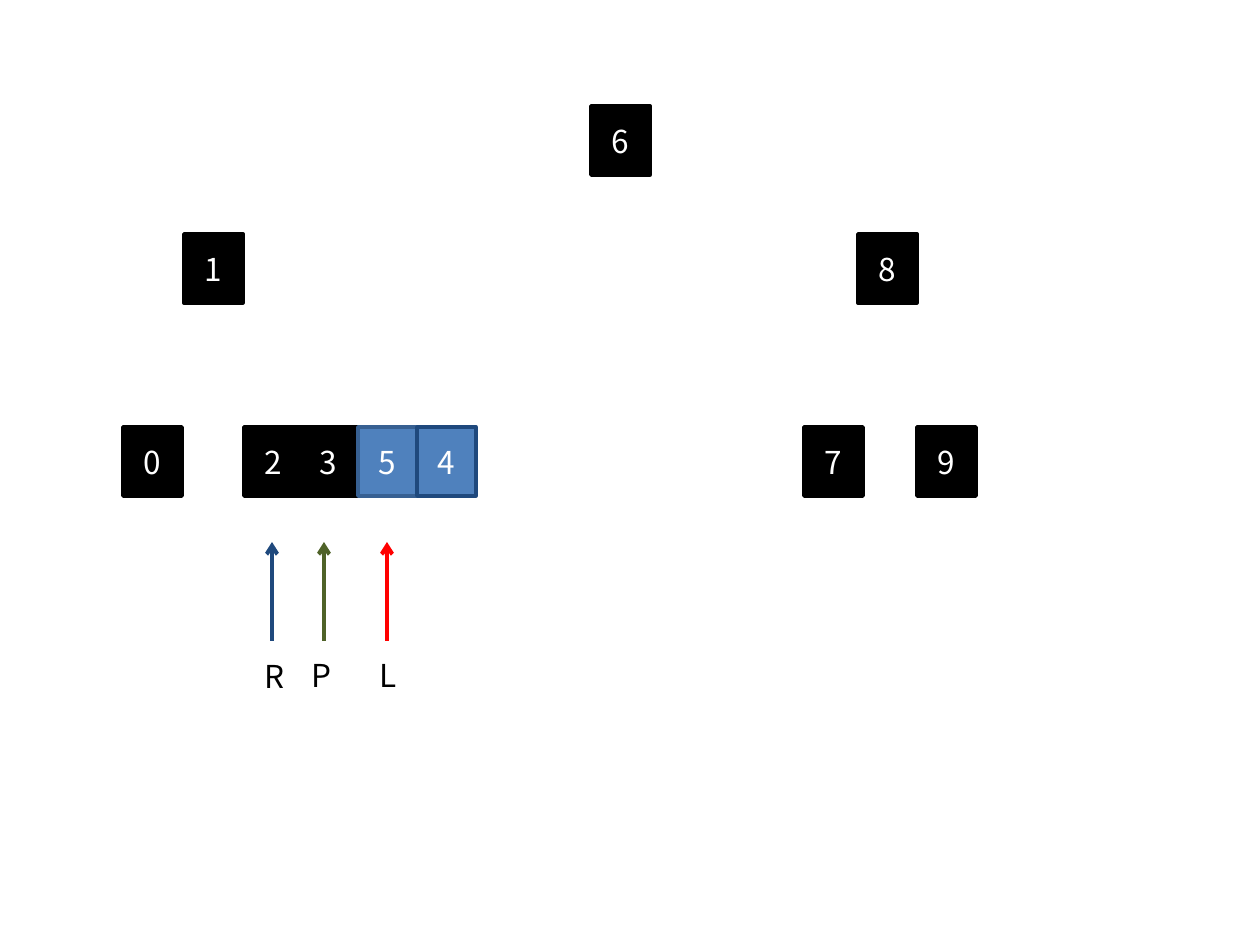
from lxml.etree import SubElement
from pptx import Presentation
from pptx.dml.color import RGBColor
from pptx.enum.shapes import MSO_CONNECTOR, MSO_SHAPE
from pptx.enum.text import MSO_ANCHOR, MSO_AUTO_SIZE, PP_ALIGN
from pptx.oxml.ns import qn
from pptx.util import Emu, Pt

EMU_PER_PIXEL = 914400 / 126
FONT = "Noto Sans CJK KR"
BLACK, WHITE, BLUE = "000000", "FFFFFF", "4F81BD"
NODE_WIDTH, NODE_HEIGHT = 59, 69
ARROW_TOP, ARROW_BOTTOM = 542, 641

# Height of each tree level: (digit, left, fill, line)
TREE_LEVELS = {
    106: [("6", 591, BLACK, BLACK)],
    234: [("1", 184, BLACK, BLACK), ("8", 858, BLACK, BLACK)],
    427: [
        ("0", 123, BLACK, BLACK),
        ("2", 244, BLACK, BLACK),
        ("3", 299, BLACK, BLACK),
        ("5", 358, BLUE, "376092"),
        ("4", 417, BLUE, "1F497D"),
        ("7", 804, BLACK, BLACK),
        ("9", 917, BLACK, BLACK),
    ],
}

# Pointer: label, arrow x, label left, label top, label width, colour
POINTERS = [
    ("R", 272, 252, 651, 45, "1F497D"),
    ("P", 324, 299, 650, 44, "4F6228"),
    ("L", 387, 367, 650, 42, "FF0000"),
]


def px(*lengths):
    return [Emu(round(length * EMU_PER_PIXEL)) for length in lengths]


def colour(value):
    return RGBColor.from_string(value)


def write(frame, text, size=18, color=BLACK, align=PP_ALIGN.LEFT):
    para = frame.paragraphs[0]
    para.alignment = align
    span = para.add_run()
    span.text = text
    span.font.name = FONT
    span.font.size = Pt(size)
    span.font.color.rgb = colour(color)


def add_node(page, digit, left, top, fill, line):
    box = page.shapes.add_shape(
        MSO_SHAPE.RECTANGLE, *px(left, top, NODE_WIDTH, NODE_HEIGHT))
    box.shadow.inherit = False
    box.fill.solid()
    box.fill.fore_color.rgb = colour(fill)
    box.line.color.rgb = colour(line)
    box.line.width = Pt(2)
    box.text_frame.vertical_anchor = MSO_ANCHOR.MIDDLE
    write(box.text_frame, digit, color=WHITE, align=PP_ALIGN.CENTER)


def add_arrow(group, x, color):
    arrow = group.shapes.add_connector(
        MSO_CONNECTOR.STRAIGHT, *px(x, ARROW_BOTTOM, x, ARROW_TOP))
    arrow.line.color.rgb = colour(color)
    arrow.line.width = Pt(2.25)
    SubElement(arrow.line._get_or_add_ln(), qn("a:tailEnd"), type="arrow")
    SubElement(arrow._element.spPr, qn("a:effectLst"))


def add_label(group, text, left, top, width):
    box = group.shapes.add_textbox(*px(left, top, width, 50))
    box.text_frame.word_wrap = False
    box.text_frame.auto_size = MSO_AUTO_SIZE.SHAPE_TO_FIT_TEXT
    write(box.text_frame, text)


def main():
    deck = Presentation()
    deck.slide_width, deck.slide_height = px(1260, 945)
    page = deck.slides.add_slide(deck.slide_layouts[6])

    # Tree nodes
    for top, nodes in TREE_LEVELS.items():
        for digit, left, fill, line in nodes:
            add_node(page, digit, left, top, fill, line)

    # Pointers under the bottom row
    for text, x, left, top, width, color in POINTERS:
        group = page.shapes.add_group_shape()
        add_arrow(group, x, color)
        add_label(group, text, left, top, width)

    deck.save("out.pptx")


main()
